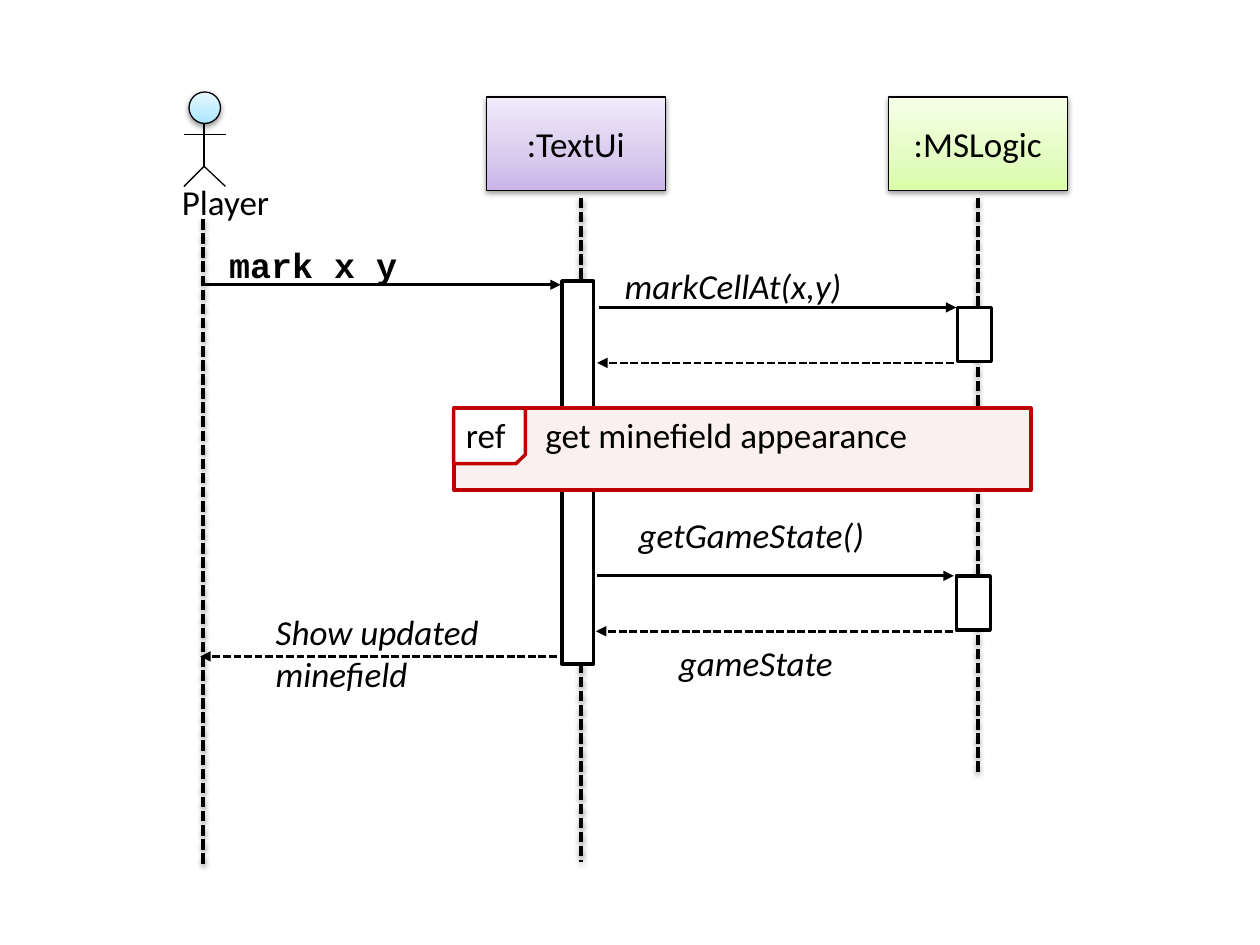
import copy
import lxml.etree
import pptx
import pptx.dml.color
import pptx.enum.dml
import pptx.enum.shapes
import pptx.enum.text
import pptx.oxml
import pptx.oxml.ns
import pptx.util

PX = 9144
KIND = pptx.enum.shapes.MSO_SHAPE
LINK = pptx.enum.shapes.MSO_CONNECTOR.STRAIGHT
DASH = pptx.enum.dml.MSO_LINE.SQUARE_DOT
ALIGN = pptx.enum.text.PP_ALIGN
ANCHOR = pptx.enum.text.MSO_ANCHOR
HUES = {
    "ink": "000000",
    "paper": "FFFFFF",
    "red": "C00000",
    "pink": "FAF0F0",
    "violet": ("C9B5E8", "D8CBEE", "F0EAF9"),
    "green": ("DAFDA7", "E4FCC2", "F5FFE7"),
    "sky": ("A7E6FF", "C1EDFF", "E7F8FF"),
}


def emu(*sizes):
    return [size * PX for size in sizes]


def tint(name):
    return pptx.dml.color.RGBColor.from_string(HUES[name])


def child(parent, tag, **attrs):
    node = lxml.etree.SubElement(parent, pptx.oxml.ns.qn(tag))
    for key, value in attrs.items():
        node.set(key, str(value))
    return node


def shade(item, on):
    props = item._element.spPr
    for old in props.findall(pptx.oxml.ns.qn("a:effectLst")):
        props.remove(old)
    effects = child(props, "a:effectLst")
    if on:
        outer = child(effects, "a:outerShdw", blurRad=39370, dist=20320,
                      dir=5400000, rotWithShape=0)
        color = child(outer, "a:srgbClr", val=HUES["ink"])
        child(color, "a:alpha", val=38000)


def blend(shape, name):
    fill = shape.fill
    fill.gradient()
    fill.gradient_angle = 90
    stops = shape._element.spPr.find(".//" + pptx.oxml.ns.qn("a:gsLst"))
    stops.append(copy.deepcopy(stops[-1]))
    for stop, hue, place in zip(fill.gradient_stops, HUES[name], (0, 0.35, 1)):
        stop.color.rgb = pptx.dml.color.RGBColor.from_string(hue)
        stop.position = place


def draw(slide, kind, box, fill="paper", line="ink", width=2, shadow=False):
    shape = slide.shapes.add_shape(kind, *emu(*box))
    if isinstance(HUES[fill], tuple):
        blend(shape, fill)
    else:
        shape.fill.solid()
        shape.fill.fore_color.rgb = tint(fill)
    shape.line.color.rgb = tint(line)
    shape.line.width = pptx.util.Pt(width)
    shade(shape, shadow)
    return shape


def rule(slide, start, end, width=1.5, dash=False, arrow=False, shadow=False):
    line = slide.shapes.add_connector(LINK, *emu(*start, *end))
    line.line.color.rgb = tint("ink")
    line.line.width = pptx.util.Pt(width)
    if dash:
        line.line.dash_style = DASH
    if arrow:
        child(line.line._get_or_add_ln(), "a:tailEnd", type="triangle")
    shade(line, shadow)


def write(frame, text, face="Calibri", bold=False, slant=False,
          align=ALIGN.LEFT, tab=None):
    frame.word_wrap = True
    para = frame.paragraphs[0]
    para.alignment = align
    if tab:
        tabs = child(para._p.get_or_add_pPr(), "a:tabLst")
        child(tabs, "a:tab", pos=tab * PX, algn="l")
    run = para.add_run()
    run.text = text
    font = run.font
    font.name = face
    font.size = pptx.util.Pt(20)
    font.bold = bold
    font.italic = slant
    font.color.rgb = tint("ink")


def label(slide, box, text, anchor=ANCHOR.TOP, **style):
    frame = slide.shapes.add_textbox(*emu(*box)).text_frame
    frame.vertical_anchor = anchor
    write(frame, text, **style)


def actor(slide, box, name):
    x, y, w, h = box
    mid = x + w // 2
    hip = y + 59
    rule(slide, (mid, y + 17), (mid, hip), 0.75)
    rule(slide, (x, y + 34), (x + w, y + 34), 0.75)
    for foot in (x, x + w):
        rule(slide, (mid, hip), (foot, y + h), 0.75)
    draw(slide, KIND.OVAL, (mid - 12, y, 25, 25), "sky", width=0.75, shadow=True)
    label(slide, (x - 26, y + 65, 118, 44), name, align=ALIGN.CENTER)


def header(slide, box, name, fill):
    shape = draw(slide, KIND.RECTANGLE, box, fill, width=0.75, shadow=True)
    frame = shape.text_frame
    frame.margin_top = frame.margin_bottom = 20 * PX
    frame.vertical_anchor = ANCHOR.MIDDLE
    write(frame, name, align=ALIGN.CENTER)


def ref(slide, box, text):
    x, y, w, h = box
    draw(slide, KIND.RECTANGLE, box, "pink", "red", 2.25)
    flag = draw(slide, KIND.SNIP_1_RECTANGLE, (x, y, 57, 44), line="red")
    flag._element.spPr.xfrm.set("flipV", "1")
    label(slide, (x, y, w - 25, 42), text, ANCHOR.MIDDLE, tab=63)


def main():
    deck = pptx.Presentation()
    deck.slide_width, deck.slide_height = emu(1000, 750)
    slide = deck.slides.add_slide(deck.slide_layouts[6])

    for x, top, end in ((161, 174, 686), (461, 157, 684), (776, 157, 614)):
        rule(slide, (x, top), (x, end), 2, dash=True, shadow=True)
    actor(slide, (146, 73, 33, 75), "Player")
    header(slide, (386, 77, 142, 74), ":TextUi", "violet")
    header(slide, (705, 77, 142, 74), ":MSLogic", "green")

    for bar in ((446, 223, 25, 304), (760, 244, 27, 43), (759, 457, 27, 43)):
        draw(slide, KIND.RECTANGLE, bar)

    for start, end, y, reply in (
        (161, 445, 226, False),
        (475, 759, 244, False),
        (757, 474, 288, True),
        (474, 757, 457, False),
        (756, 473, 501, True),
        (442, 159, 521, True),
    ):
        rule(slide, (start, y), (end, y), dash=reply, arrow=True)

    label(slide, (172, 188, 254, 44), "mark x y", face="Courier New", bold=True)
    for box, text in (
        ((486, 205, 279, 44), "markCellAt(x,y)"),
        ((497, 403, 246, 44), "getGameState()"),
        ((529, 504, 187, 44), "gameState"),
        ((209, 480, 234, 77), "Show updated minefield"),
    ):
        label(slide, box, text, slant=True)

    ref(slide, (360, 324, 458, 65), "ref\tget minefield appearance")
    deck.save("out.pptx")


if __name__ == "__main__":
    main()
